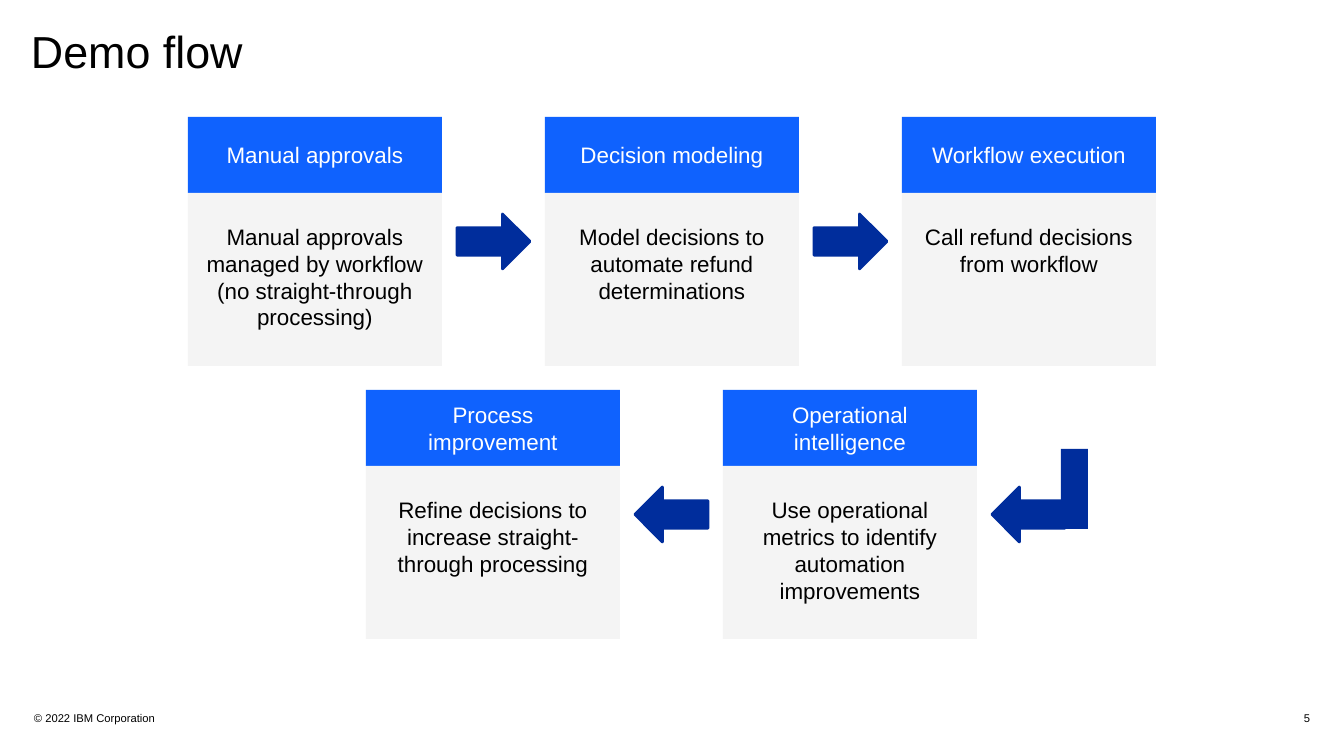
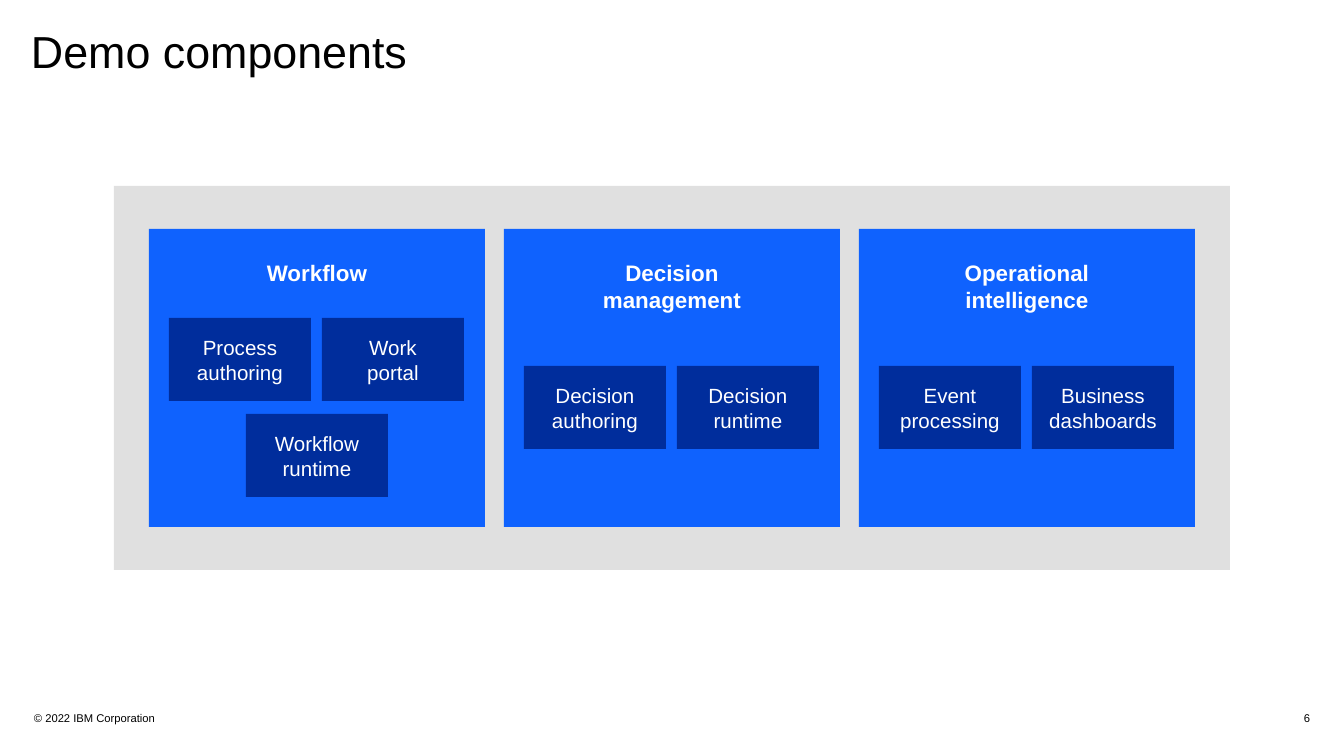
from copy import deepcopy

from pptx import Presentation
from pptx.dml.color import RGBColor
from pptx.enum.shapes import MSO_SHAPE as Preset
from pptx.enum.text import MSO_ANCHOR as Anchor, PP_ALIGN as Align
from pptx.oxml.ns import qn
from pptx.util import Emu, Pt

# Shared scale, colours and font
SLIDE_WIDTH, SLIDE_HEIGHT = 1344, 756
EMU_PER_PX = 9144000 / SLIDE_WIDTH
FONT = "Arial"
BLACK, WHITE = "000000", "FFFFFF"
BLUE, NAVY = "0F62FE", "002D9C"
PALE_GREY, GREY = "F4F4F4", "E0E0E0"

# Cards of the flow
CARD_WIDTH, CARD_PITCH = 254, 357
HEADER_HEIGHT, BODY_HEIGHT = 76, 173
ARROW_SIZE = (73, 55)
ARROW_OFFSET = (269, 97)
TEXT_TOP = 30

# Columns and modules of the components
COLUMN_WIDTH, COLUMN_HEIGHT, COLUMN_PITCH = 336, 298, 355
MODULE_WIDTH, MODULE_HEIGHT = 142, 83
MODULE_GAP, MODULE_ROW_PITCH = 11, 96

# (left, top, arrow direction, cards from left to right)
FLOW_ROWS = [
    (188, 117, Preset.RIGHT_ARROW, [
        (["Manual approvals"],
         ["Manual approvals\nmanaged by workflow", "(no straight-through", "processing)"]),
        (["Decision modeling"],
         ["Model decisions to", "automate refund", "determinations"]),
        (["Workflow execution"],
         ["Call refund decisions", "from workflow"]),
    ]),
    (366, 390, Preset.LEFT_ARROW, [
        (["Process", "improvement"],
         ["Refine decisions to\nincrease straight-\nthrough processing"]),
        (["Operational\nintelligence"],
         ["Use operational\nmetrics to identify\nautomation", "improvements"]),
    ]),
]

# (heading, top of the first module row, module rows)
COMPONENTS = [
    ("Workflow", 318,
     [["Process\nauthoring", "Work\nportal"], ["Workflow\nruntime"]]),
    ("Decision\nmanagement", 366, [["Decision\nauthoring", "Decision\nruntime"]]),
    ("Operational\nintelligence", 366, [["Event\nprocessing", "Business\ndashboards"]]),
]


def px(length):
    return Emu(round(length * EMU_PER_PX))


def color(value):
    return RGBColor.from_string(value)


def set_values(target, values):
    for name, value in values.items():
        setattr(target, name, value)


def write(shape, paragraphs, size, text_color, align=Align.CENTER, bold=False,
          line_spacing=None, **frame_values):
    """Fill a shape with paragraphs; a newline inside one is a line break."""
    frame = shape.text_frame
    set_values(frame, {"word_wrap": True, **frame_values})
    for index, text in enumerate(paragraphs):
        paragraph = frame.add_paragraph() if index else frame.paragraphs[0]
        paragraph.text = text
        set_values(paragraph, {"alignment": align, "line_spacing": line_spacing})
        for run in paragraph.runs:
            set_values(run.font, {"name": FONT, "size": Pt(size), "bold": bold})
            run.font.color.rgb = color(text_color)
        # Line breaks take the run format, so that they keep the line height
        for line_break in paragraph._p.findall(qn("a:br")):
            line_break.append(deepcopy(paragraph.runs[0]._r.rPr))


def add_label(slide, left, top, width, height, text, size, **values):
    box = slide.shapes.add_textbox(px(left), px(top), px(width), px(height))
    margins = dict.fromkeys(
        ("margin_left", "margin_right", "margin_top", "margin_bottom"), 0)
    write(box, [text], size, BLACK, **margins, **values)


def add_block(slide, left, top, width, height, fill, preset=Preset.RECTANGLE):
    shape = slide.shapes.add_shape(preset, px(left), px(top), px(width), px(height))
    shape.shadow.inherit = False
    shape.fill.solid()
    shape.fill.fore_color.rgb = color(fill)
    shape.line.fill.background()
    return shape


def add_arrow(slide, left, top, preset):
    arrow = add_block(slide, left, top, *ARROW_SIZE, NAVY, preset)
    arrow.line.color.rgb = color(NAVY)
    arrow.line.width = Pt(1.5)


def add_card(slide, left, top, heading, body):
    header = add_block(slide, left, top, CARD_WIDTH, HEADER_HEIGHT, BLUE)
    write(header, heading, 12, WHITE, vertical_anchor=Anchor.MIDDLE)
    panel = add_block(slide, left, top + HEADER_HEIGHT, CARD_WIDTH, BODY_HEIGHT, PALE_GREY)
    write(panel, body, 12, BLACK, vertical_anchor=Anchor.TOP, margin_top=px(TEXT_TOP))


def add_module_row(slide, column_left, top, names):
    """Centre a row of modules in its column."""
    pitch = MODULE_WIDTH + MODULE_GAP
    left = column_left + (COLUMN_WIDTH - len(names) * pitch + MODULE_GAP) // 2
    for index, name in enumerate(names):
        module = add_block(slide, left + index * pitch, top,
                           MODULE_WIDTH, MODULE_HEIGHT, NAVY)
        write(module, [name], 11, WHITE, vertical_anchor=Anchor.MIDDLE)


def add_slide(presentation, title, number):
    """Blank slide with the shared title and footer."""
    slide = presentation.slides.add_slide(presentation.slide_layouts[6])
    add_label(slide, 34, 706, 605, 24, "© 2022 IBM Corporation", 6,
              align=Align.LEFT, vertical_anchor=Anchor.MIDDLE)
    add_label(slide, 1042, 706, 268, 24, str(number), 6,
              align=Align.RIGHT, vertical_anchor=Anchor.MIDDLE)
    add_label(slide, 31, 30, 1279, 45, title, 24,
              align=Align.LEFT, line_spacing=0.9)
    return slide


def build_flow(presentation):
    slide = add_slide(presentation, "Demo flow", 5)
    arrow_x, arrow_y = ARROW_OFFSET
    for row_left, top, direction, cards in FLOW_ROWS:
        for index, (heading, body) in enumerate(cards):
            left = row_left + index * CARD_PITCH
            add_card(slide, left, top, heading, body)
            # The last card of the upper row has no arrow beside it
            if direction == Preset.LEFT_ARROW or index < len(cards) - 1:
                add_arrow(slide, left + arrow_x, top + arrow_y, direction)
    # Stem that turns the flow down to the lower row
    add_block(slide, 1061, 449, 27, 80, NAVY)


def build_components(presentation):
    slide = add_slide(presentation, "Demo components", 6)
    add_block(slide, 114, 186, 1116, 384, GREY)
    for index, (heading, modules_top, rows) in enumerate(COMPONENTS):
        left = 149 + index * COLUMN_PITCH
        column = add_block(slide, left, 229, COLUMN_WIDTH, COLUMN_HEIGHT, BLUE)
        write(column, [heading], 12, WHITE, bold=True,
              vertical_anchor=Anchor.TOP, margin_top=px(TEXT_TOP))
        for row, names in enumerate(rows):
            add_module_row(slide, left, modules_top + row * MODULE_ROW_PITCH, names)


def main():
    presentation = Presentation()
    set_values(presentation, {"slide_width": px(SLIDE_WIDTH),
                              "slide_height": px(SLIDE_HEIGHT)})
    build_flow(presentation)
    build_components(presentation)
    presentation.save("out.pptx")


if __name__ == "__main__":
    main()
